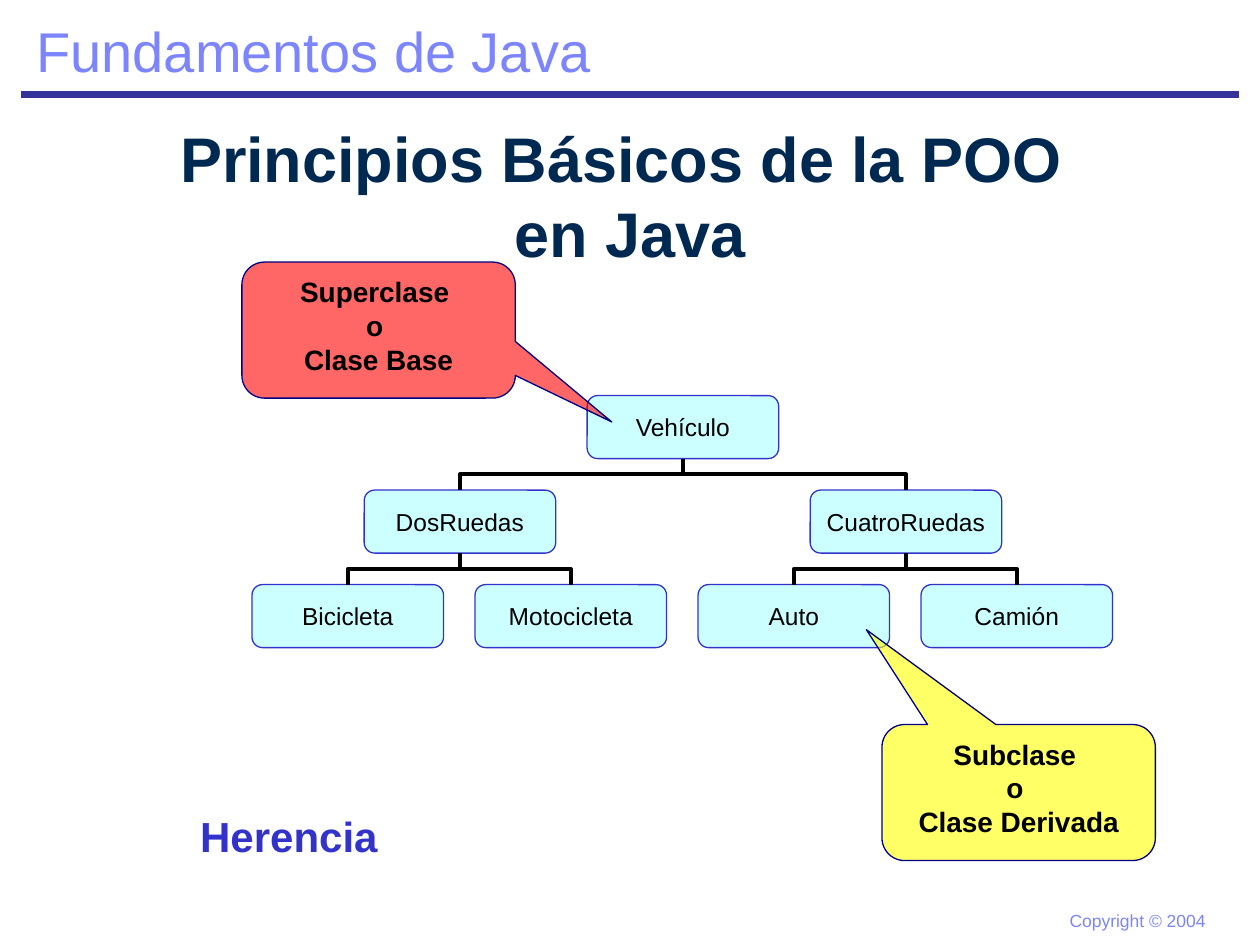
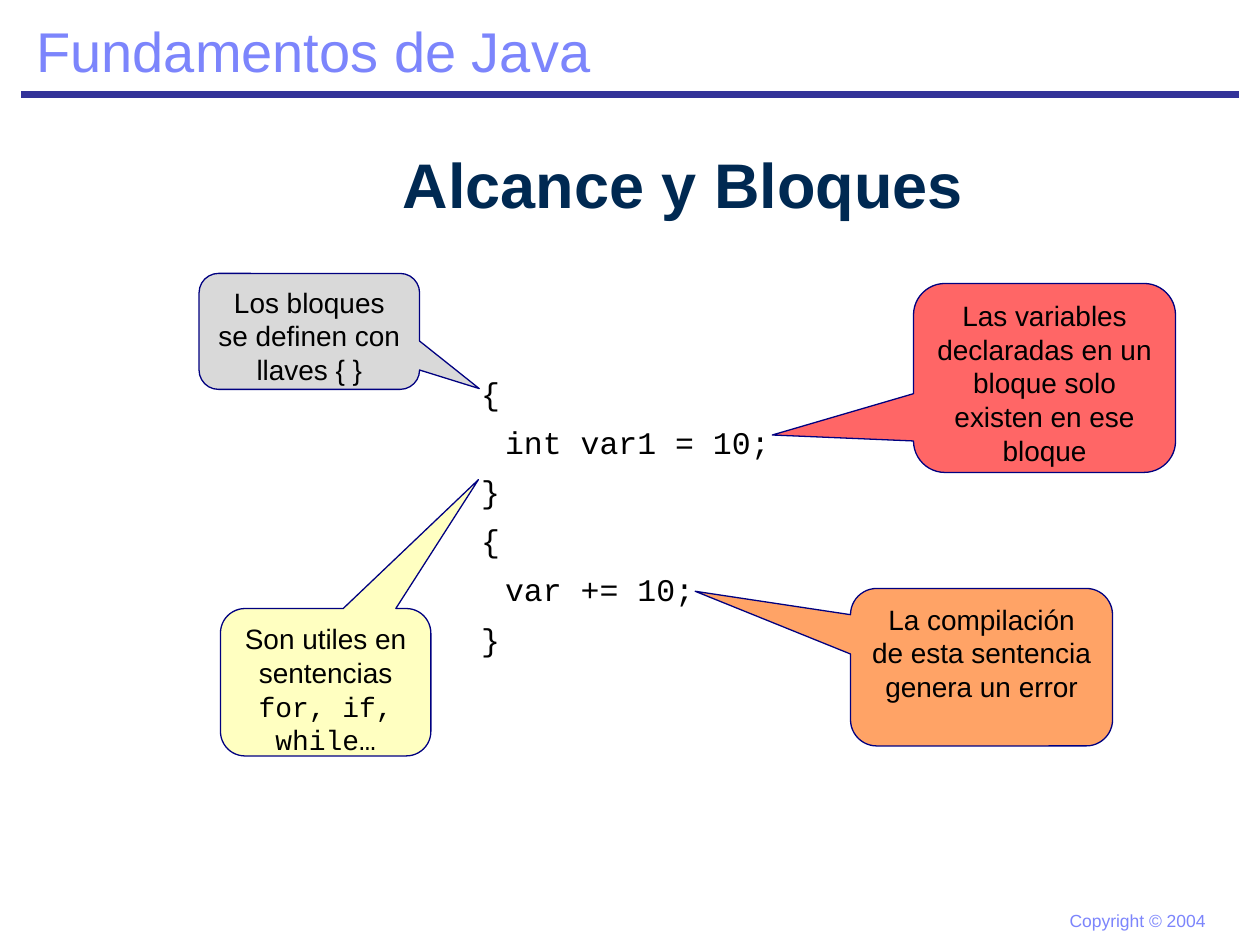
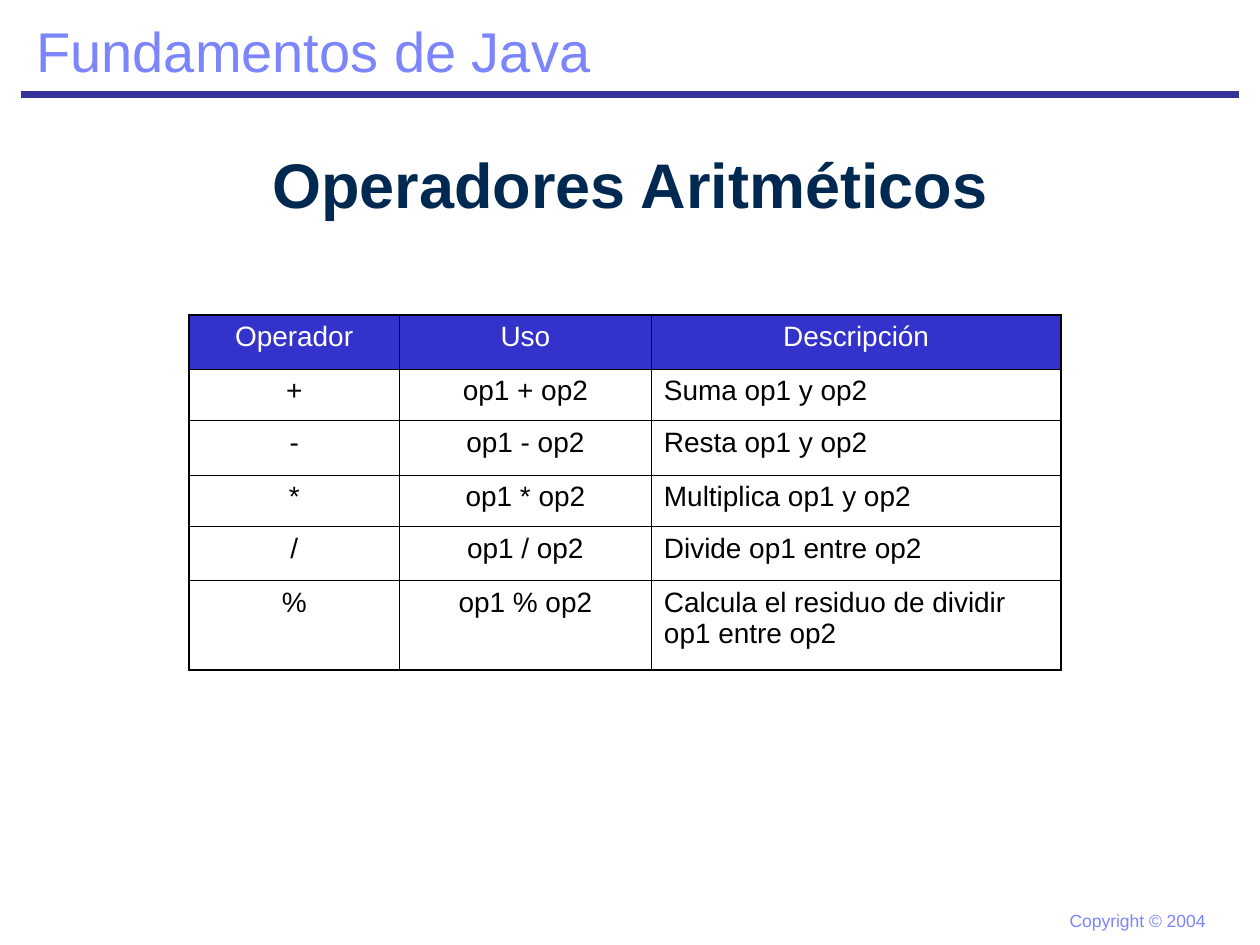
from dataclasses import dataclass

from lxml.etree import SubElement
from pptx import Presentation
from pptx.dml.color import RGBColor
from pptx.enum.shapes import MSO_CONNECTOR, MSO_SHAPE
from pptx.enum.text import MSO_ANCHOR, MSO_AUTO_SIZE, PP_ALIGN
from pptx.oxml import parse_xml
from pptx.oxml.ns import nsdecls, qn
from pptx.util import Inches, Pt


@dataclass(frozen=True)
class Theme:
    sans: str = "Arial"
    mono: str = "Courier New"
    ink: str = "000000"
    white: str = "FFFFFF"
    pale: str = "7C85FC"
    band: str = "333399"
    title: str = "002952"
    blue: str = "3333CC"
    node: str = "CCFFFF"
    navy: str = "000080"
    red: str = "FF0000"
    yellow: str = "FFFF00"
    cream: str = "FFFF99"
    gray: str = "C0C0C0"
    orange: str = "FF6600"
    huge: int = 36
    head: int = 32
    large: int = 24
    code: int = 18
    body: int = 16
    small: int = 14
    foot: int = 10


T = Theme()
LEFT, MID = PP_ALIGN.LEFT, PP_ALIGN.CENTER


def grid(*cells):
    """Turn cells of the 120 x 90 slide grid into lengths."""
    return [Inches(round(cell / 12, 2)) for cell in cells]


def write(frame, lines, size, color=T.ink, bold=False, face=T.sans,
          align=LEFT, **form):
    """Fill a frame; a line is a string or a list of (text, face) runs."""
    for key, value in form.items():
        setattr(frame, key, value)
    for i, line in enumerate(lines):
        para = frame.add_paragraph() if i else frame.paragraphs[0]
        para.alignment = align
        for text, name in [(line, face)] if isinstance(line, str) else line:
            run = para.add_run()
            run.text = text
            for key, value in dict(name=name, size=Pt(size), bold=bold).items():
                setattr(run.font, key, value)
            run.font.color.rgb = RGBColor.from_string(color)


deck = Presentation()
deck.slide_width, deck.slide_height = grid(120, 90)

# Header, rule, footer and title of every slide
fit = dict(word_wrap=False, auto_size=MSO_AUTO_SIZE.SHAPE_TO_FIT_TEXT)
titles = [
    ((0, 14, 120, 9), ["Principios Básicos de la POO ", "en Java"]),
    ((14, 13, 102, 9), ["Alcance y Bloques"]),
    ((0, 13, 120, 9), ["Operadores Aritméticos"]),
]
pages = []
for spot, lines in titles:
    page = deck.slides.add_slide(deck.slide_layouts[6])
    pages.append(page)
    rule = page.shapes.add_connector(MSO_CONNECTOR.STRAIGHT, *grid(2, 9, 118, 9))
    rule.line.color.rgb = RGBColor.from_string(T.band)
    rule.line.width = Pt(4.5)
    SubElement(rule._element.spPr, qn("a:effectLst"))
    foot = page.shapes.add_textbox(*grid(100.7, 86, 15.4, 3.2))
    write(foot.text_frame, ["Copyright © 2004"], T.foot, T.pale, **fit)
    head = page.shapes.add_textbox(*grid(2.3, 1, 55.2, 7.7))
    write(head.text_frame, ["Fundamentos de Java"], T.head, T.pale, **fit)
    box = page.shapes.add_textbox(*grid(*spot))
    write(box.text_frame, lines, T.huge, T.title, True, align=MID,
          word_wrap=True, vertical_anchor=MSO_ANCHOR.MIDDLE)
tree, scope, maths = pages

# Class tree: name, column, row, parent
nodes = [
    ("Vehículo", 1.5, 0, None),
    ("DosRuedas", 0.5, 1, "Vehículo"),
    ("CuatroRuedas", 2.5, 1, "Vehículo"),
    ("Bicicleta", 0, 2, "DosRuedas"),
    ("Motocicleta", 1, 2, "DosRuedas"),
    ("Auto", 2, 2, "CuatroRuedas"),
    ("Camión", 3, 2, "CuatroRuedas"),
]
boxes = {}
for name, col, row, parent in nodes:
    box = tree.shapes.add_shape(
        MSO_SHAPE.ROUNDED_RECTANGLE,
        *grid(24 + 21.25 * col, 37.7 + 9 * row, 18.25, 6))
    boxes[name] = box
    box.shadow.inherit = False
    box.fill.solid()
    box.fill.fore_color.rgb = RGBColor.from_string(T.node)
    box.line.color.rgb = RGBColor.from_string(T.blue)
    box.line.width = Pt(0.75)
    write(box.text_frame, [name], T.small, align=MID, word_wrap=False,
          vertical_anchor=MSO_ANCHOR.MIDDLE)
    if not parent:
        continue
    top = boxes[parent]
    link = tree.shapes.add_connector(MSO_CONNECTOR.ELBOW, 0, 0, 0, 0)
    link.begin_connect(box, 0)
    link.end_connect(top, 2)
    link.line.color.rgb = RGBColor.from_string(T.ink)
    link.line.width = Pt(2.25)
    SubElement(link._element.spPr, qn("a:effectLst"))
    # Turn the elbow a quarter so that it leaves the boxes vertically
    start, end = box.left + box.width // 2, top.left + top.width // 2
    base = top.top + top.height
    rise, run = box.top - base, abs(start - end)
    turn = dict(left=(start + end - rise) // 2, top=(box.top + base - run) // 2,
                width=rise, height=run)
    for key, value in turn.items():
        setattr(link, key, value)
    frame = link._element.spPr.xfrm
    right = start > end
    for key, value in dict(rot=270 if right else 90, flipH=not right,
                           flipV=True).items():
        setattr(frame, key, value)

label = tree.shapes.add_textbox(*grid(17.9, 76.6, 19.3, 6))
write(label.text_frame, ["Herencia"], T.large, T.blue, True, **fit)

# Code block
block = scope.shapes.add_textbox(*grid(41, 34, 61, 30))
code = ["{", "\tint var1 = 10;", "}", "{", "\tvar += 10;", "}"]
write(block.text_frame, code, T.code, face=T.mono, word_wrap=True)
for para in block.text_frame.paragraphs:
    para.line_spacing = 1.3
    props = para._p.get_or_add_pPr()
    for key, value in dict(marL=0.49, indent=-0.19).items():
        props.set(key, str(Inches(value)))

# Callouts: slide, place, tip, fill, bold, lines
notes = [
    (tree, (84, 69, 26, 13), (-0.557, -1.197), T.yellow, True,
     ["Subclase ", "o ", "Clase Derivada"]),
    (tree, (23, 25, 26, 13), (0.853, 0.675), T.red, True,
     ["Superclase ", "o ", "Clase Base"]),
    (scope, (19, 26, 21, 11), (0.771, 0.494), T.gray, False,
     ["Los bloques se definen con llaves { }"]),
    (scope, (21, 58, 20, 14), (0.726, -1.374), T.cream, False,
     [[("Son utiles en sentencias ", T.sans), ("for, if, while…", T.mono)]]),
    (scope, (87, 27, 25, 18), (-1.039, 0.302), T.red, False,
     ["Las variables declaradas en un bloque solo existen en ese bloque"]),
    (scope, (81, 56, 25, 15), (-1.093, -0.482), T.orange, False,
     ["La compilación de esta sentencia genera un error"]),
]
for page, spot, tip, fill, bold, lines in notes:
    note = page.shapes.add_shape(MSO_SHAPE.ROUNDED_RECTANGULAR_CALLOUT, *grid(*spot))
    note.shadow.inherit = False
    for i, value in enumerate(tip):
        note.adjustments[i] = value
    note.fill.solid()
    note.fill.fore_color.rgb = RGBColor.from_string(fill)
    tint = note._element.spPr.find(qn("a:solidFill"))[0]
    SubElement(tint, qn("a:alpha"), val="60000")
    note.line.color.rgb = RGBColor.from_string(T.navy)
    note.line.width = Pt(0.75)
    write(note.text_frame, lines, T.body, bold=bold, align=MID, word_wrap=True,
          vertical_anchor=MSO_ANCHOR.TOP)

# Operator table
cols, rows = (20, 24, 39), (5.2, 4.9, 5.2, 4.9, 5.2, 8.5)
uses = [
    ("+", "Suma op1 y op2"),
    ("-", "Resta op1 y op2"),
    ("*", "Multiplica op1 y op2"),
    ("/", "Divide op1 entre op2"),
    ("%", "Calcula el residuo de dividir op1 entre op2"),
]
data = [("Operador", "Uso", "Descripción")]
data += [(sign, f"op1 {sign} op2", text) for sign, text in uses]
table = maths.shapes.add_table(
    len(rows), len(cols), *grid(18, 30, sum(cols), sum(rows))).table
table.first_row = table.horz_banding = False
for col, width in zip(table.columns, grid(*cols)):
    col.width = width
for row, height in zip(table.rows, grid(*rows)):
    row.height = height
for r, texts in enumerate(data):
    for c, text in enumerate(texts):
        cell = table.cell(r, c)
        if r == 0:
            cell.fill.solid()
            cell.fill.fore_color.rgb = RGBColor.from_string(T.blue)
        else:
            cell.fill.background()
        write(cell.text_frame, [text], T.body, T.ink if r else T.white,
              align=LEFT if r and c == 2 else MID)
        edges = dict(L=c == 0, R=c == len(cols) - 1, T=r == 0, B=r == len(rows) - 1)
        for i, (side, outer) in enumerate(edges.items()):
            width = Pt(1.08 if outer else 0.45)
            cell._tc.get_or_add_tcPr().insert(i, parse_xml(
                f'<a:ln{side} {nsdecls("a")} w="{width}"><a:solidFill>'
                f'<a:srgbClr val="{T.ink}"/></a:solidFill></a:ln{side}>'))

deck.save("out.pptx")
